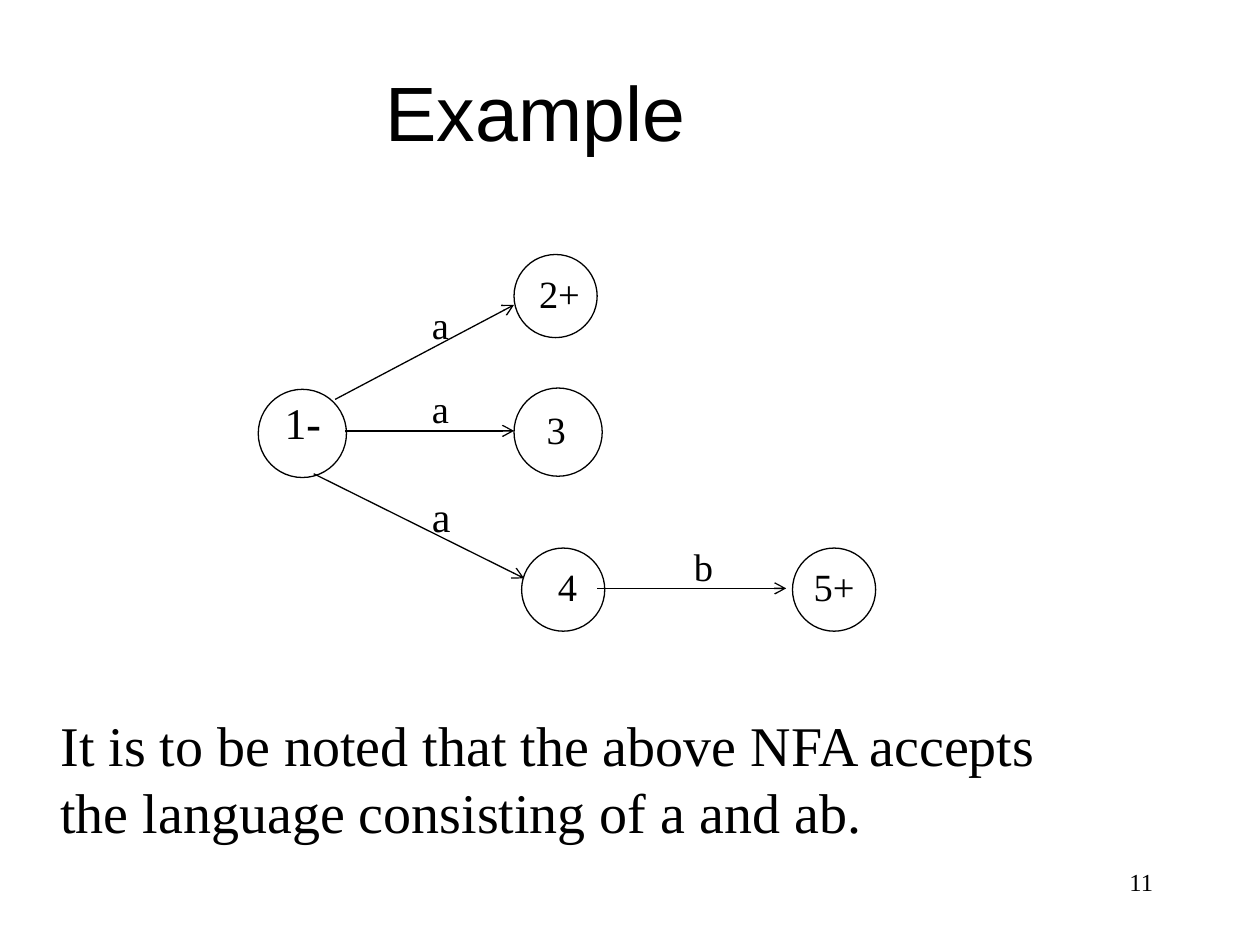
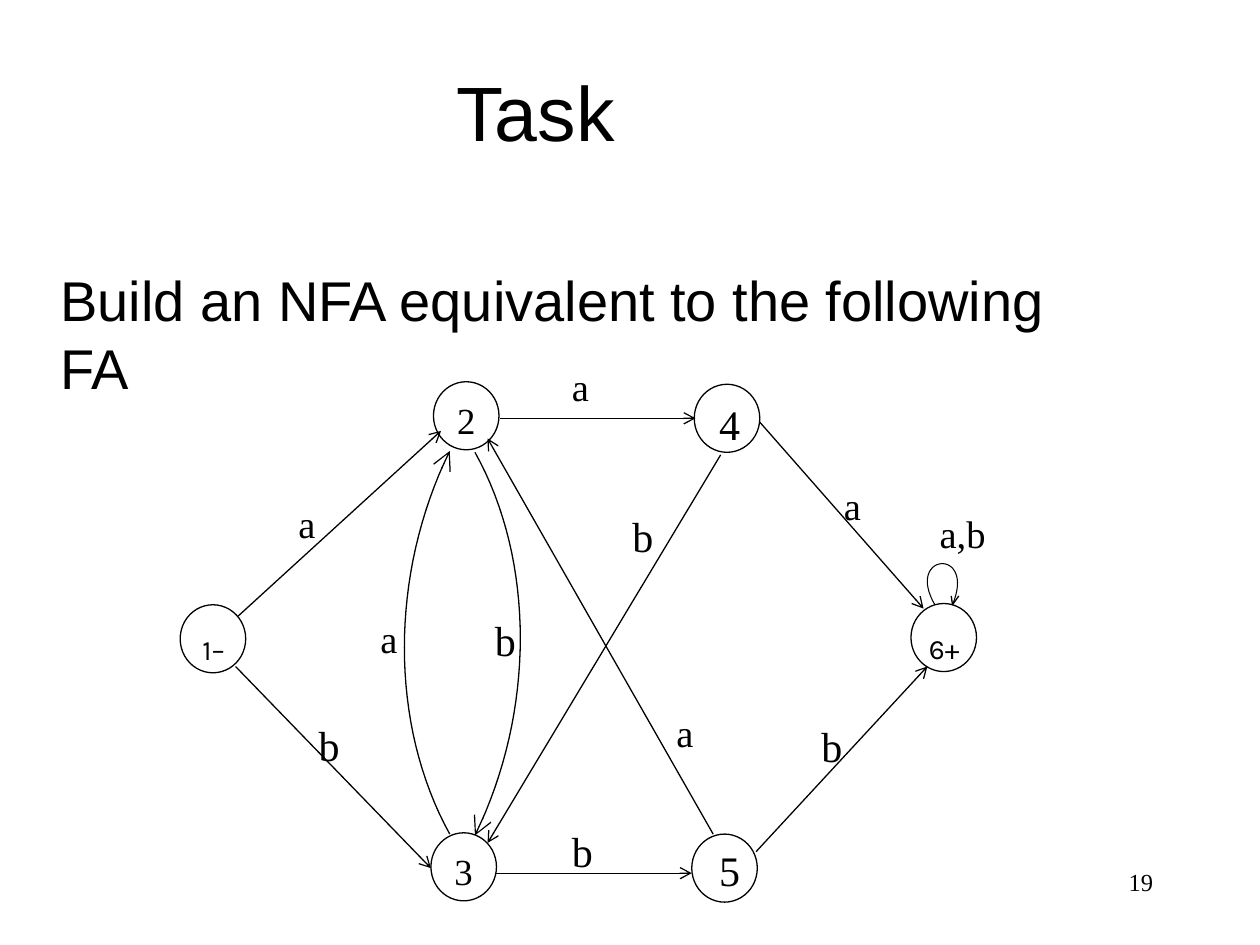
from lxml import etree
from pptx import Presentation
from pptx.dml.color import RGBColor
from pptx.enum.shapes import MSO_CONNECTOR, MSO_SHAPE
from pptx.enum.text import MSO_ANCHOR, MSO_AUTO_SIZE, PP_ALIGN
from pptx.oxml.ns import qn
from pptx.util import Inches, Pt

ELLIPSE = MSO_SHAPE.OVAL
STRAIGHT = MSO_CONNECTOR.STRAIGHT
TOP, MIDDLE = MSO_ANCHOR.TOP, MSO_ANCHOR.MIDDLE
LEFT, CENTER, RIGHT = PP_ALIGN.LEFT, PP_ALIGN.CENTER, PP_ALIGN.RIGHT
COLORS = {"ink": "000000", "paper": "FFFFFF"}
INK = RGBColor.from_string(COLORS["ink"])
PAPER = RGBColor.from_string(COLORS["paper"])
SERIF, SANS, STATE_FONT = "Times New Roman", "Arial", "Karla"
CURVE_STEPS = 32


def write_text(shape, runs, size, font=SERIF, align=LEFT, anchor=TOP):
    frame = shape.text_frame
    frame.word_wrap = True
    frame.auto_size = MSO_AUTO_SIZE.NONE
    frame.vertical_anchor = anchor
    frame.margin_left = frame.margin_right = Inches(0.1)
    frame.margin_top = frame.margin_bottom = Inches(0.05)
    paragraph = frame.paragraphs[0]
    paragraph.alignment = align
    for text, bold in runs:
        run = paragraph.add_run()
        run.text = text
        run.font.size = Pt(size)
        run.font.name = font
        run.font.bold = bold
        run.font.color.rgb = INK
    return paragraph


def style_line(shape, head=None, width=0.75):
    shape.line.color.rgb = INK
    shape.line.width = Pt(width)
    properties = shape._element.spPr
    if properties.find(qn("a:effectLst")) is None:
        etree.SubElement(properties, qn("a:effectLst"))
    if head:
        line = properties.find(qn("a:ln"))
        etree.SubElement(line, qn("a:tailEnd"), type="arrow", w=head, len=head)


automata = [
    {
        "title": "Example",
        "body": "It is to be noted that the above NFA accepts the language consisting of a and ab.",
        "body_font": SERIF,
        "body_top": 5.59,
        "body_height": 1.4,
        "number": "11",
        "states": [
            (4.08, 2.02, 0.66, 0.66, ""),
            (2.05, 3.09, 0.7, 0.7, ""),
            (4.08, 3.08, 0.7, 0.7, ""),
            (4.14, 4.35, 0.66, 0.66, ""),
            (6.29, 4.35, 0.66, 0.66, ""),
        ],
        "arrows": [
            (2.66, 3.17, 4.08, 2.42),
            (2.74, 3.42, 4.08, 3.42),
            (2.49, 3.76, 4.16, 4.59),
            (4.74, 4.67, 6.24, 4.67),
        ],
        "curves": [],
        "arrowheads": [],
        "labels": [
            (3.33, 2.34, "a", 22),
            (3.33, 3.01, "a", 22),
            (3.33, 3.84, "a", 24),
            (5.41, 4.26, "b", 22),
            (4.18, 2.09, "2+", 22),
            (4.24, 3.17, "3", 22),
            (4.33, 4.42, "4", 22),
            (6.36, 4.42, "5+", 22),
        ],
        "start_label": (2.16, 3.09),
        "small_labels": [],
    },
    {
        "title": "Task",
        "body": "Build an NFA equivalent to the following FA",
        "body_font": SANS,
        "body_top": 2.06,
        "body_height": 4.56,
        "number": "19",
        "states": [
            (3.44, 3.03, 0.52, 0.54, "2"),
            (1.43, 4.8, 0.52, 0.54, ""),
            (3.42, 6.61, 0.52, 0.54, "3"),
            (7.23, 4.79, 0.52, 0.54, ""),
            (5.51, 3.05, 0.52, 0.54, ""),
            (5.49, 6.62, 0.52, 0.54, ""),
        ],
        "arrows": [
            (3.97, 3.32, 5.52, 3.32),
            (3.94, 6.93, 5.49, 6.93),
            (1.89, 4.89, 3.5, 3.42),
            (1.87, 5.29, 3.42, 6.89),
            (6, 6.76, 7.36, 5.29),
            (6.03, 3.35, 7.33, 4.83),
            (5.66, 6.62, 3.87, 3.48),
            (5.72, 3.61, 3.87, 6.69),
        ],
        "curves": [
            ([(3.77, 3.59), (4.25, 4.45), (4.25, 5.65), (3.77, 6.63)], "lg", 0.75),
            ([(3.57, 6.62), (3.09, 5.75), (3.09, 4.56), (3.57, 3.58)], "lg", 0.75),
            ([(7.42, 4.8), (7.18, 4.39), (7.75, 4.34), (7.56, 4.8)], None, 0.6),
        ],
        "arrowheads": [[(7.55, 4.73), (7.56, 4.8), (7.61, 4.73)]],
        "labels": [
            (2.27, 3.92, "a", 22),
            (4.44, 2.83, "a", 22),
            (6.6, 3.78, "a", 22),
            (7.36, 4, "a,b", 22),
            (2.92, 4.83, "a", 22),
            (5.27, 5.58, "a", 22),
            (2.43, 5.66, "b", 24),
            (4.44, 6.5, "b", 24),
            (6.42, 5.67, "b", 24),
            (3.83, 4.83, "b", 24),
            (4.92, 4, "b", 24),
            (5.61, 3.11, "4", 24),
            (5.61, 6.65, "5", 24),
        ],
        "start_label": None,
        "small_labels": [(1.33, 4.97, "1–"), (7.13, 4.96, "6+")],
    },
]

presentation = Presentation()
presentation.slide_width = Inches(10)
presentation.slide_height = Inches(7.5)

for automaton in automata:
    slide = presentation.slides.add_slide(presentation.slide_layouts[1])
    shapes = slide.shapes
    slide.background.fill.solid()
    slide.background.fill.fore_color.rgb = PAPER

    title = shapes.title
    title.left, title.top = Inches(0), Inches(0.25)
    title.width, title.height = Inches(8.5), Inches(1.25)
    write_text(title, [(automaton["title"], False)], 44, SANS, CENTER, MIDDLE)

    body = slide.placeholders[1]
    body.left, body.top = Inches(0), Inches(automaton["body_top"])
    body.width, body.height = Inches(8.94), Inches(automaton["body_height"])
    paragraph = write_text(body, [(automaton["body"], False)], 32, automaton["body_font"])
    paragraph.space_before = Pt(8)
    paragraph_properties = paragraph._p.get_or_add_pPr()
    paragraph_properties.set("marL", str(Inches(0.38)))
    paragraph_properties.set("indent", "0")
    etree.SubElement(paragraph_properties, qn("a:buNone"))

    for left, top, width, height, name in automaton["states"]:
        state = shapes.add_shape(ELLIPSE, Inches(left), Inches(top), Inches(width), Inches(height))
        state.fill.solid()
        state.fill.fore_color.rgb = PAPER
        style_line(state)
        if name:
            write_text(state, [(name, False)], 21, align=CENTER)

    for arrow in automaton["arrows"]:
        connector = shapes.add_connector(STRAIGHT, *[Inches(value) for value in arrow])
        style_line(connector, "med")

    outlines = [(points, None, 0.75) for points in automaton["arrowheads"]]
    for controls, head, width in automaton["curves"]:
        points = []
        for step in range(CURVE_STEPS + 1):
            t = step / CURVE_STEPS
            weights = [(1 - t) ** 3, 3 * t * (1 - t) ** 2, 3 * t * t * (1 - t), t ** 3]
            points.append([sum(w * c for w, c in zip(weights, axis)) for axis in zip(*controls)])
        outlines.append((points, head, width))

    for points, head, width in outlines:
        vertices = [(Inches(x), Inches(y)) for x, y in points]
        builder = shapes.build_freeform(*vertices[0])
        builder.add_line_segments(vertices[1:], close=False)
        outline = builder.convert_to_shape()
        outline.fill.background()
        style_line(outline, head, width)

    for left, top, text, size in automaton["labels"]:
        label = shapes.add_textbox(Inches(left), Inches(top), Inches(0.73), Inches(0.45))
        write_text(label, [(text, False)], size)

    for left, top, text in automaton["small_labels"]:
        label = shapes.add_textbox(Inches(left), Inches(top), Inches(0.73), Inches(0.35))
        write_text(label, [(text, False)], 16, STATE_FONT, CENTER)

    if automaton["start_label"]:
        left, top = automaton["start_label"]
        label = shapes.add_textbox(Inches(left), Inches(top), Inches(0.92), Inches(0.45))
        write_text(label, [("1", False), ("-", True)], 25)

    number = shapes.add_textbox(Inches(7.17), Inches(6.83), Inches(2.08), Inches(0.5))
    write_text(number, [(automaton["number"], False)], 14, align=RIGHT)

presentation.save("out.pptx")
